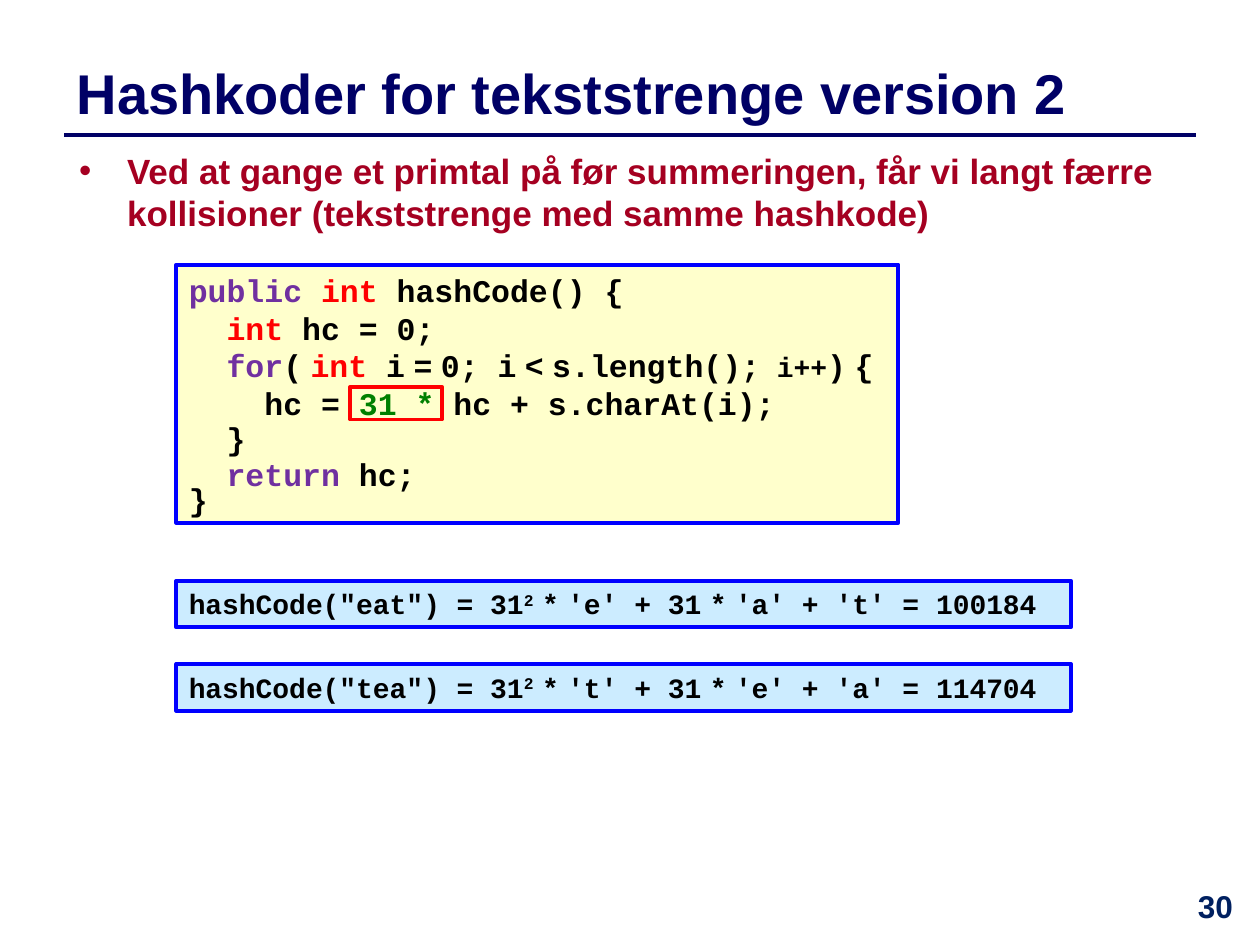
"""Builds the slide on hash codes for text strings, version 2."""
from dataclasses import dataclass

from lxml import etree
from pptx import Presentation
from pptx.dml.color import RGBColor
from pptx.enum.shapes import MSO_CONNECTOR, MSO_SHAPE
from pptx.enum.text import MSO_ANCHOR, PP_ALIGN
from pptx.oxml.ns import qn
from pptx.util import Inches, Pt


@dataclass(frozen=True)
class Theme:
    sans: str = "Arial"
    mono: str = "Courier New"
    navy: str = "000066"
    number: str = "002060"
    crimson: str = "A50021"
    black: str = "000000"
    keyword: str = "7030A0"
    red: str = "FF0000"
    green: str = "008000"
    border: str = "0000FF"
    cream: str = "FFFFCC"
    sky: str = "CCECFF"
    title_size: int = 32
    bullet_size: int = 20
    code_size: int = 18
    formula_size: int = 16
    thin_size: int = 8


THEME = Theme()
TITLE = "Hashkoder for tekststrenge version 2"
BULLET = ("Ved at gange et primtal på før summeringen, får vi langt færre "
          "kollisioner (tekststrenge med samme hashkode)")
NUMBER = "30"
THIN = (" ", THEME.black, THEME.thin_size)
CODE = [
    (0, 0, 1, [("public ", THEME.keyword), ("int ", THEME.red), ("hashCode() {",)]),
    (2, 0, 1, [("int ", THEME.red), ("hc = 0;",)]),
    (2, 0, 1, [("for", THEME.keyword), ("(",), THIN, ("int ", THEME.red), ("i",),
               THIN, ("=",), THIN, ("0; i",), THIN, ("<",), THIN, ("s.length();",),
               (" i++", THEME.black, THEME.formula_size), (")",), THIN, ("{",)]),
    (4, 0, 1, [("hc = ",), ("31 * ", THEME.green), ("hc + s.charAt(i);",)]),
    (2, 6, 0.6, [("}",)]),
    (2, 0, 1, [("return ", THEME.keyword), ("hc;",)]),
    (0, 0, 0.6, [("}",)]),
]
FORMULAS = [("eat", 100184, 4.61), ("tea", 114704, 5.27)]
CODE_LEFT = 1.4
CHAR_WIDTH = 0.15


def add_span(para, text, color=THEME.black, size=THEME.code_size, font=THEME.mono):
    span = para.add_run()
    span.text = text
    span.font.name, span.font.size, span.font.bold = font, Pt(size), True
    span.font.color.rgb = RGBColor.from_string(color)
    return span


def set_indent(para, left, first=0):
    props = para._p.get_or_add_pPr()
    props.set("marL", str(Inches(left)))
    props.set("indent", str(Inches(first)))
    return props


def add_text(page, area, text, color, size, anchor=MSO_ANCHOR.TOP):
    frame = page.shapes.add_textbox(*map(Inches, area)).text_frame
    frame.word_wrap = True
    frame.vertical_anchor = anchor
    para = frame.paragraphs[0]
    add_span(para, text, color, size, THEME.sans)
    return para


def add_panel(page, area, fill, border=THEME.border, width=2.25):
    box = page.shapes.add_shape(MSO_SHAPE.RECTANGLE, *map(Inches, area))
    box.shadow.inherit = False
    if fill:
        box.fill.solid()
        box.fill.fore_color.rgb = RGBColor.from_string(fill)
    else:
        box.fill.background()
    box.line.color.rgb = RGBColor.from_string(border)
    box.line.width = Pt(width)
    frame = box.text_frame
    frame.word_wrap = True
    frame.vertical_anchor = MSO_ANCHOR.TOP
    frame.paragraphs[0].alignment = PP_ALIGN.LEFT
    return frame


def add_rule(page):
    rule = page.shapes.add_connector(
        MSO_CONNECTOR.STRAIGHT, *map(Inches, (0.51, 1.07, 9.49, 1.07)))
    rule.line.color.rgb = RGBColor.from_string(THEME.navy)
    rule.line.width = Pt(2)
    etree.SubElement(rule._element.spPr, qn("a:effectLst"))


def add_bullet(page):
    para = add_text(page, (0.53, 1.14, 9.35, 0.8), BULLET, THEME.crimson,
                    THEME.bullet_size)
    para.space_before = Pt(12)
    props = set_indent(para, 0.38, -0.38)
    etree.SubElement(props, qn("a:buFont")).set("typeface", THEME.sans)
    etree.SubElement(props, qn("a:buChar")).set("char", "•")


def add_code(page):
    frame = add_panel(page, (CODE_LEFT, 2.1, 5.73, 2.05), THEME.cream)
    for row, (indent, before, spacing, spans) in enumerate(CODE):
        para = frame.add_paragraph() if row else frame.paragraphs[0]
        para.alignment = PP_ALIGN.LEFT
        para.space_before = Pt(before)
        para.line_spacing = spacing
        set_indent(para, indent * CHAR_WIDTH)
        for span in spans:
            add_span(para, *span)
    add_panel(page, (2.78, 3.07, 0.73, 0.26), None, THEME.red, 2)


def add_formula(page, word, total, top):
    para = add_panel(page, (CODE_LEFT, top, 7.1, 0.37), THEME.sky).paragraphs[0]
    first, second, third = word
    size = THEME.formula_size
    add_span(para, f'hashCode("{word}") = 31', size=size)
    power = add_span(para, "2", size=size)
    power.font._element.set("baseline", "30000")
    for text in (f"'{first}' + 31", f"'{second}' + '{third}' = {total}"):
        add_span(para, *THIN)
        add_span(para, "*", size=size)
        add_span(para, *THIN)
        add_span(para, text, size=size)


def build():
    deck = Presentation()
    deck.slide_width, deck.slide_height = Inches(10), Inches(7.5)
    page = deck.slides.add_slide(deck.slide_layouts[6])
    add_rule(page)
    add_text(page, (0.51, 0.36, 8.98, 0.75), TITLE, THEME.navy,
             THEME.title_size, MSO_ANCHOR.MIDDLE)
    number = add_text(page, (9.29, 6.99, 0.71, 0.5), NUMBER, THEME.number,
                      THEME.code_size)
    number.alignment = PP_ALIGN.CENTER
    add_bullet(page)
    add_code(page)
    for formula in FORMULAS:
        add_formula(page, *formula)
    deck.save("out.pptx")


build()
